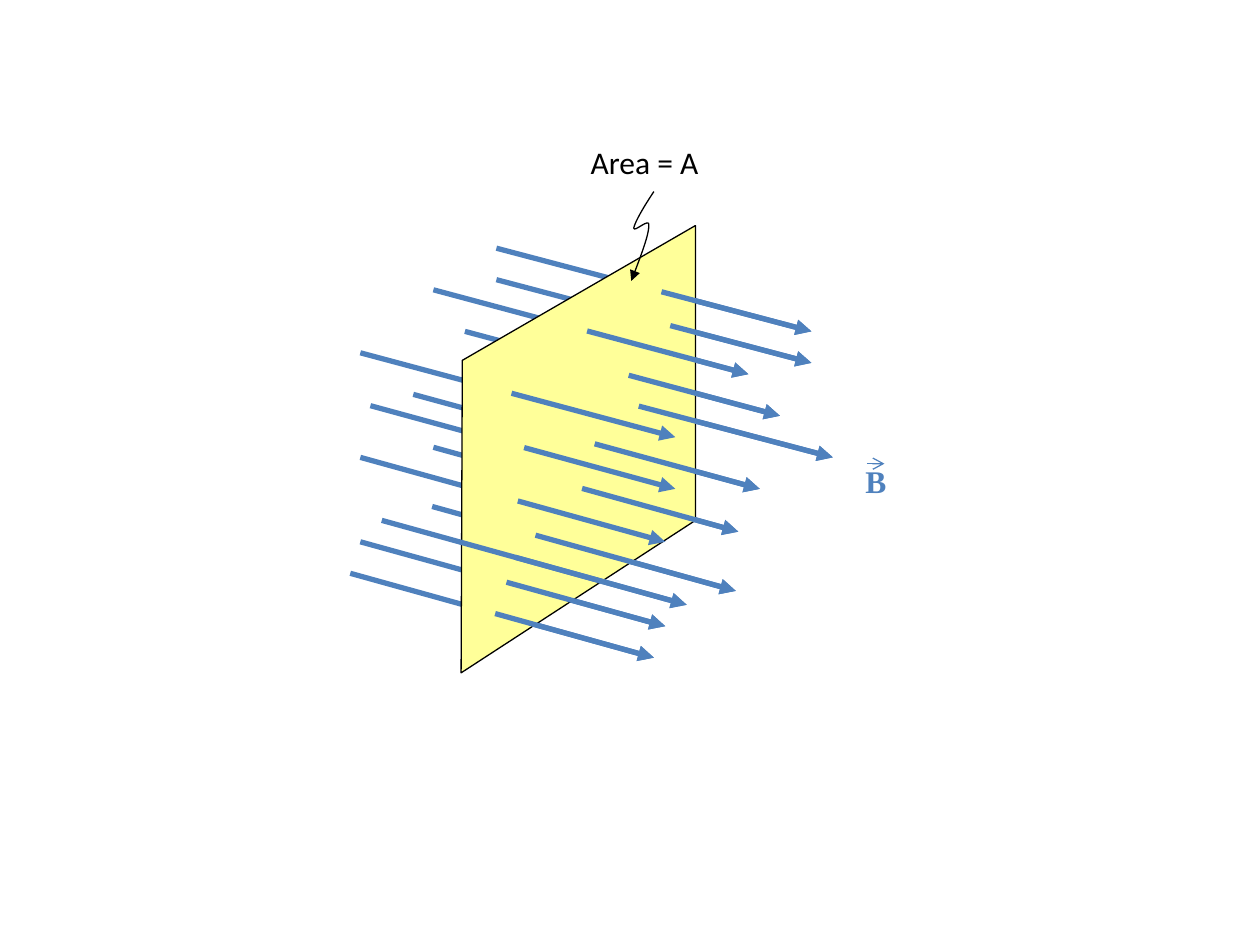
from lxml.etree import SubElement
from pptx import Presentation
from pptx.dml.color import RGBColor
from pptx.enum.shapes import MSO_CONNECTOR as Connector
from pptx.enum.text import MSO_ANCHOR as Anchor, MSO_AUTO_SIZE as AutoSize, PP_ALIGN as Align
from pptx.oxml.ns import qn
from pptx.util import Inches, Pt

COLORS = {"field": "4F81BD", "surface": "FFFF99", "ink": "000000"}
CELL = 0.1  # one grid column or row, in inches
DIAGRAM = (25, 10)  # column and row of the diagram's top left corner

# Each field line: tail column, tail row, column where it leaves the surface,
# head column, head row
FIELD_LINES = [
    (2.8, 35.5, 14.3, 26.9, 42.2),
    (3.6, 33.0, 15.2, 27.8, 39.7),
    (9.3, 30.2, 17.5, 33.4, 36.9),
    (3.6, 26.3, 16.1, 27.8, 33.0),
    (9.4, 25.5, 21.2, 33.6, 32.2),
    (4.4, 22.2, 16.6, 28.6, 28.8),
    (7.8, 21.3, 22.2, 35.3, 28.8),
    (3.6, 18.0, 15.6, 28.6, 24.7),
    (11.9, 16.3, 24.9, 36.9, 23.0),
    (16.1, 19.7, 25.7, 41.1, 26.3),
    (9.4, 13.0, 21.6, 34.4, 19.7),
    (14.4, 12.2, 28.2, 39.4, 18.8),
    (14.4, 9.7, 27.5, 39.4, 16.3),
]
FRONT_LINE = (5.3, 31.3, 15.9, 29.5, 38.0)  # lies wholly before the surface
SURFACE = [(11.6, 43.4), (11.7, 18.6), (30.2, 7.9), (30.2, 31.3)]
POINTER = [(26.9, 5.2), (26.1, 6.4), (25.4, 7.6), (25.3, 8.1), (25.3, 8.5),
           (26.6, 7.2), (26.5, 7.9), (26.5, 8.6), (25.8, 10.5), (25.1, 12.3)]


def color(name):
    return RGBColor.from_string(COLORS[name])


def place(box, col, row):
    return Inches((box[0] + col) * CELL), Inches((box[1] + row) * CELL)


def style_line(shape, name, width, head=None):
    shape.line.color.rgb = color(name)
    shape.line.width = Pt(width)
    if head:
        SubElement(shape.line._get_or_add_ln(), qn("a:tailEnd"), type=head)


def add_arrow(shapes, box, tail, tip, width, head):
    arrow = shapes.add_connector(Connector.STRAIGHT, *place(box, *tail), *place(box, *tip))
    style_line(arrow, "field", width, head)
    SubElement(arrow._element.spPr, qn("a:effectLst"))


def add_outline(shapes, box, points, close):
    first, *rest = [place(box, *point) for point in points]
    builder = shapes.build_freeform(*first)
    builder.add_line_segments(rest, close=close)
    outline = builder.convert_to_shape()
    outline.shadow.inherit = False
    return outline


def add_label(shapes, box, corner, size, text, font_name, name, bold=False):
    label = shapes.add_textbox(*place(box, *corner), *(Inches(n * CELL) for n in size))
    frame = label.text_frame
    frame.word_wrap = False
    frame.auto_size = AutoSize.SHAPE_TO_FIT_TEXT
    frame.vertical_anchor = Anchor.MIDDLE
    paragraph = frame.paragraphs[0]
    paragraph.text = text
    paragraph.alignment = Align.LEFT
    font = paragraph.font
    font.name, font.size, font.bold = font_name, Pt(18), bold
    font.color.rgb = color(name)


def add_field(shapes, box, lines, in_front):
    """Draw whole field lines, or only their stretch in front of the surface."""
    for col, row, exit_col, head_col, head_row in lines:
        tail = (col, row)
        if in_front:
            share = (exit_col - col) / (head_col - col)
            tail = (exit_col, row + share * (head_row - row))
        add_arrow(shapes, box, tail, (head_col, head_row), 3, "triangle")


def add_surface(shapes, box):
    surface = add_outline(shapes, box, SURFACE, close=True)
    surface.fill.solid()
    surface.fill.fore_color.rgb = color("surface")
    style_line(surface, "ink", 0.75)


def add_vector_label(shapes, box):
    symbol = shapes.add_group_shape().shapes
    add_label(symbol, box, (42.7, 26.2), (3.7, 4), "B", "Times New Roman", "field", bold=True)
    add_arrow(symbol, box, (43.8, 26.8), (45.2, 26.8), 0.75, "arrow")


def add_area_pointer(shapes, box):
    pointer = add_outline(shapes, box, POINTER, close=False)
    pointer.fill.background()
    style_line(pointer, "ink", 0.75, "triangle")
    # Every three points after the first make one Bézier curve
    steps = list(pointer._element.iter(qn("a:lnTo")))
    outline = steps[0].getparent()
    for start in range(0, len(steps), 3):
        curve = SubElement(outline, qn("a:cubicBezTo"))
        for step in steps[start:start + 3]:
            curve.append(step[0])
            outline.remove(step)


def add_flux_diagram(shapes, box):
    add_field(shapes, box, FIELD_LINES, in_front=False)
    add_surface(shapes, box)
    add_vector_label(shapes, box)
    add_label(shapes, box, (20.9, 1), (10.7, 3.7), "Area = A", "Calibri", "ink")
    add_field(shapes, box, [FRONT_LINE], in_front=False)
    add_field(shapes, box, FIELD_LINES + [FRONT_LINE], in_front=True)
    add_area_pointer(shapes, box)


def main():
    deck = Presentation()
    deck.slide_width, deck.slide_height = Inches(10), Inches(7.5)
    slide = deck.slides.add_slide(deck.slide_layouts[6])
    add_flux_diagram(slide.shapes, DIAGRAM)
    deck.save("out.pptx")


if __name__ == "__main__":
    main()
